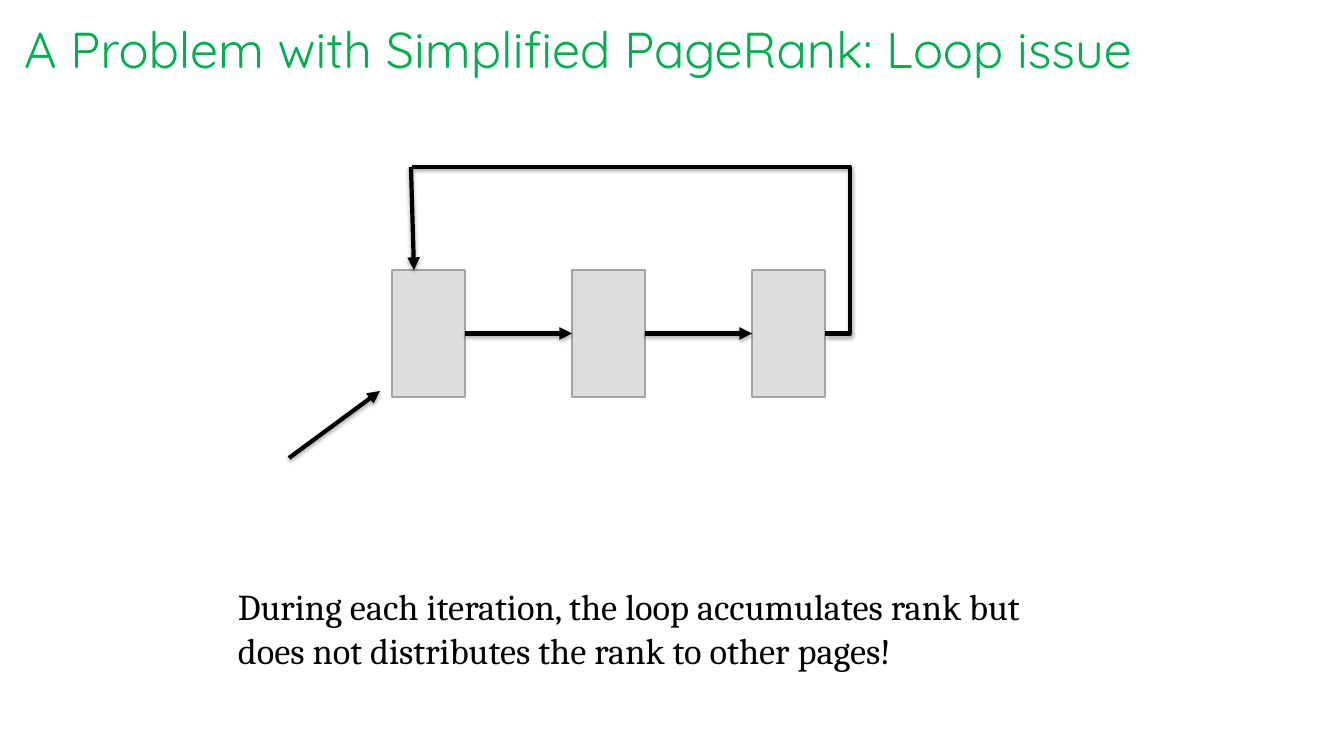
from itertools import pairwise

from lxml.etree import SubElement
from pptx import Presentation
from pptx.dml.color import RGBColor
from pptx.enum.shapes import MSO_CONNECTOR, MSO_SHAPE
from pptx.enum.text import MSO_ANCHOR, MSO_AUTO_SIZE, PP_ALIGN
from pptx.oxml.ns import qn
from pptx.util import Emu, Pt

TITLE = "A Problem with Simplified PageRank: Loop issue"
NOTE = "During each iteration, the loop accumulates rank but does not distributes the rank to other pages!"
COLORS = {"title": "00B050", "ink": "000000", "page": "DDDDDD", "border": "A3A3A3"}

SLIDE_SIZE = (1344, 756)
TITLE_BOX = (14, 29, 1210, 60)
NOTE_BOX = (228, 579, 868, 99)
PAGE_COUNT, PAGE_PITCH = 3, 180
PAGE_LEFT, PAGE_TOP, PAGE_WIDTH, PAGE_HEIGHT = 392, 270, 73, 127
INCOMING_LINK = ((289, 458), (380, 391))
LOOP_CORNER = (412, 167)
LOOP_DROP = ((411, 167), (414, 270))
LOOP_OVERHANG = 25
LEFT_SITE, RIGHT_SITE = 1, 3


def px(length):
    return Emu(round(length * 914400 / 100.8))


def color(name):
    return RGBColor.from_string(COLORS[name])


def write(frame, text, size, font, color_name):
    frame.word_wrap = True
    paragraph = frame.paragraphs[0]
    paragraph.alignment = PP_ALIGN.LEFT
    run = paragraph.add_run()
    run.text = text
    run.font.size = Pt(size)
    run.font.name = font
    run.font.color.rgb = color(color_name)


def add_page(slide, index):
    page = slide.shapes.add_shape(
        MSO_SHAPE.RECTANGLE, px(PAGE_LEFT + index * PAGE_PITCH), px(PAGE_TOP), px(PAGE_WIDTH), px(PAGE_HEIGHT)
    )
    page.shadow.inherit = False
    page.fill.solid()
    page.fill.fore_color.rgb = color("page")
    page.line.color.rgb = color("border")
    page.line.width = Pt(2)
    return page


def add_link(slide, start, end, kind=MSO_CONNECTOR.STRAIGHT, arrow=True):
    link = slide.shapes.add_connector(kind, *map(px, start + end))
    link.line.color.rgb = color("ink")
    link.line.width = Pt(3)
    properties = link._element.spPr
    if arrow:
        SubElement(properties.find(qn("a:ln")), qn("a:tailEnd"), type="triangle")
    effects = SubElement(properties, qn("a:effectLst"))
    shadow = SubElement(
        effects, qn("a:outerShdw"), blurRad="40000", dist="23000", dir="5400000", rotWithShape="0"
    )
    shade = SubElement(shadow, qn("a:srgbClr"), val=COLORS["ink"])
    SubElement(shade, qn("a:alpha"), val="35000")
    return link


def add_loop(slide, last_page):
    start = (PAGE_LEFT + (PAGE_COUNT - 1) * PAGE_PITCH + PAGE_WIDTH, PAGE_TOP + PAGE_HEIGHT / 2)
    loop = add_link(slide, start, LOOP_CORNER, MSO_CONNECTOR.ELBOW, arrow=False)
    loop.begin_connect(last_page, RIGHT_SITE)
    bend = -round(LOOP_OVERHANG / (start[0] - LOOP_CORNER[0]) * 100000)
    guides = loop._element.spPr.find(qn("a:prstGeom")).get_or_add_avLst()
    SubElement(guides, qn("a:gd"), name="adj1", fmla=f"val {bend}")


def main():
    presentation = Presentation()
    presentation.slide_width, presentation.slide_height = map(px, SLIDE_SIZE)
    slide = presentation.slides.add_slide(presentation.slide_layouts[5])

    title = slide.shapes.title
    title.left, title.top, title.width, title.height = map(px, TITLE_BOX)
    frame = title.text_frame
    frame.auto_size = MSO_AUTO_SIZE.NONE
    frame.vertical_anchor = MSO_ANCHOR.BOTTOM
    frame.margin_left = frame.margin_right = frame.margin_top = frame.margin_bottom = px(10)
    write(frame, TITLE, 36, "Quicksand", "title")

    note = slide.shapes.add_textbox(*map(px, NOTE_BOX)).text_frame
    write(note, NOTE, 26, "Cambria", "ink")
    note.auto_size = MSO_AUTO_SIZE.SHAPE_TO_FIT_TEXT

    pages = [add_page(slide, index) for index in range(PAGE_COUNT)]
    for source, target in pairwise(pages):
        link = add_link(slide, (0, 0), (0, 0))
        link.begin_connect(source, RIGHT_SITE)
        link.end_connect(target, LEFT_SITE)
    add_link(slide, *INCOMING_LINK)
    add_loop(slide, pages[-1])
    add_link(slide, *LOOP_DROP)

    presentation.save("out.pptx")


if __name__ == "__main__":
    main()
